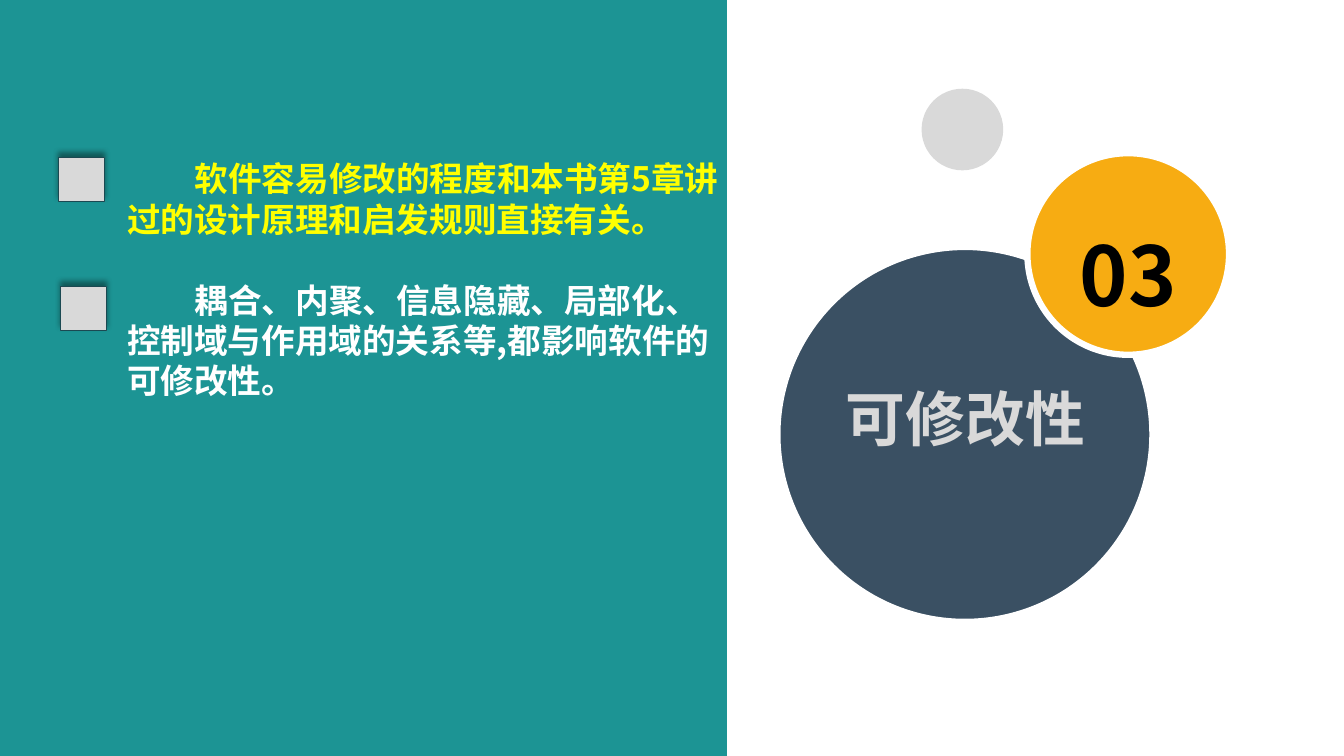
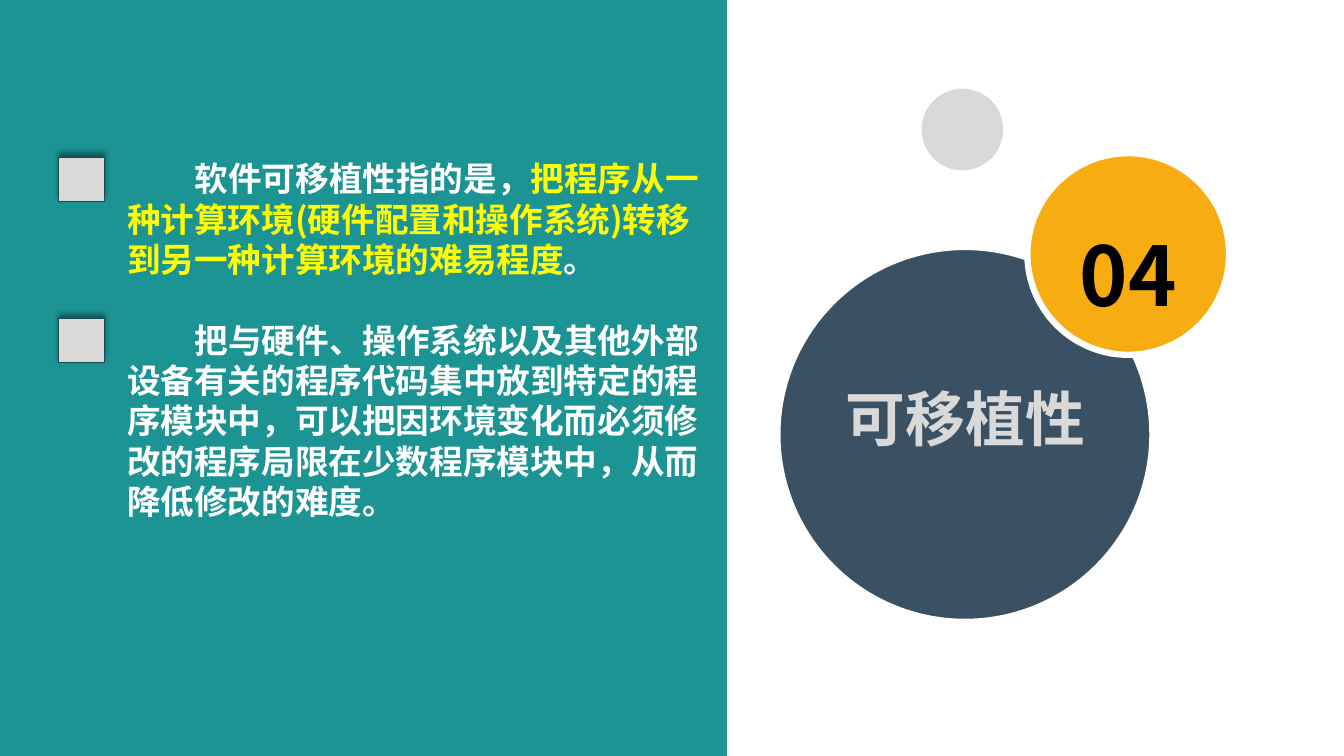
from dataclasses import dataclass
from typing import NamedTuple

from lxml.etree import SubElement
from pptx import Presentation
from pptx.dml.color import RGBColor
from pptx.enum.shapes import MSO_SHAPE
from pptx.enum.text import MSO_ANCHOR, MSO_AUTO_SIZE, PP_ALIGN
from pptx.oxml.ns import qn
from pptx.util import Inches, Pt


@dataclass(frozen=True)
class Theme:
    font: str = "Noto Sans CJK SC"
    teal: str = "1C9494"
    navy: str = "3A5063"
    amber: str = "F7AC12"
    grey: str = "D9D9D9"
    marker_edge: str = "1B4952"
    white: str = "FFFFFF"
    yellow: str = "FFFF00"
    black: str = "000000"
    body_size: float = 24
    title_size: float = 42.7
    number_size: float = 58.7
    ring_width: float = 4.5
    marker_line: float = 0.75


THEME = Theme()


class Box(NamedTuple):
    left: float
    top: float
    width: float
    height: float

    def lengths(self) -> list:
        return [Inches(value) for value in self]


class Span(NamedTuple):
    text: str
    color: str = THEME.white


class Topic(NamedTuple):
    number: str
    title: str
    points: list[list[Span]]
    markers: list[tuple[float, float]]
    body_height: float


class Circle(NamedTuple):
    box: Box
    fill: str
    ring: bool


CIRCLES = [
    Circle(Box(9.14, 0.88, 0.81, 0.81), THEME.grey, False),
    Circle(Box(7.71, 2.45, 3.72, 3.72), THEME.navy, True),
    Circle(Box(10.19, 1.52, 2, 2), THEME.amber, True),
]

TOPICS = [
    Topic("03", "可修改性", [
        [Span("软件容易修改的程度和本书第5章讲过的设计原理和启发规则直接有关。", THEME.yellow)],
        [Span("耦合、内聚、信息隐藏、局部化、控制域与作用域的关系等,都影响软件的可修改性。")],
    ], [(0.58, 1.56), (0.6, 2.84)], 2.52),
    Topic("04", "可移植性", [
        [Span("软件可移植性指的是，"),
         Span("把程序从一种计算环境(硬件配置和操作系统)转移到另一种计算环境的难易程度", THEME.yellow),
         Span("。")],
        [Span("把与硬件、操作系统以及其他外部设备有关的程序代码集中放到特定的程序模块中，"
              "可以把因环境变化而必须修改的程序局限在少数程序模块中，从而降低修改的难度。")],
    ], [(0.58, 1.56), (0.58, 3.16)], 3.74),
]


def add_filled(slide, kind: MSO_SHAPE, box: Box, fill: str,
               edge: str | None = None, edge_width: float = 0):
    shape = slide.shapes.add_shape(kind, *box.lengths())
    shape.shadow.inherit = False
    shape.fill.solid()
    shape.fill.fore_color.rgb = RGBColor.from_string(fill)
    if edge:
        shape.line.color.rgb = RGBColor.from_string(edge)
        shape.line.width = Pt(edge_width)
    else:
        shape.line.fill.background()
    return shape


def add_marker(slide, left: float, top: float) -> None:
    marker = add_filled(slide, MSO_SHAPE.RECTANGLE, Box(left, top, 0.46, 0.44),
                        THEME.grey, THEME.marker_edge, THEME.marker_line)
    # Soft shadow cast upwards
    effects = marker.element.spPr.find(qn("a:effectLst"))
    shadow = SubElement(effects, qn("a:outerShdw"), blurRad=str(Pt(4)),
                        dist=str(Pt(3)), dir=str(270 * 60000), rotWithShape="0")
    color = SubElement(shadow, qn("a:srgbClr"), val=THEME.black)
    SubElement(color, qn("a:alpha"), val="40000")


def add_text_frame(slide, box: Box, inset_x: float, inset_y: float):
    frame = slide.shapes.add_textbox(*box.lengths()).text_frame
    frame.word_wrap = True
    frame.auto_size = MSO_AUTO_SIZE.SHAPE_TO_FIT_TEXT
    frame.margin_left = frame.margin_right = Inches(inset_x)
    frame.margin_top = frame.margin_bottom = Inches(inset_y)
    return frame


def style_run(run, size: float, color: str) -> None:
    run.font.name = THEME.font
    run.font.size = Pt(size)
    run.font.bold = True
    run.font.color.rgb = RGBColor.from_string(color)
    SubElement(run.font._element, qn("a:ea"), typeface=THEME.font)


def add_label(slide, box: Box, text: str, size: float, color: str, inset: float = 0):
    frame = add_text_frame(slide, box, inset, inset)
    frame.text = text
    label = frame.paragraphs[0]
    label.alignment = PP_ALIGN.CENTER
    style_run(label.runs[0], size, color)
    return frame


def add_points(slide, topic: Topic) -> None:
    frame = add_text_frame(slide, Box(1.19, 1.52, 6.01, topic.body_height), 0.07, 0.05)
    for index, spans in enumerate(topic.points):
        paragraph = frame.add_paragraph() if index else frame.paragraphs[0]
        paragraph._p.get_or_add_pPr().set("indent", str(Inches(0.67)))
        if index:
            paragraph.space_before = Pt(29)
        for span in spans:
            run = paragraph.add_run()
            run.text = span.text
            style_run(run, THEME.body_size, span.color)


def build_topic(deck, topic: Topic) -> None:
    slide = deck.slides.add_slide(deck.slide_layouts[6])
    # Teal panel and circles
    add_filled(slide, MSO_SHAPE.RECTANGLE, Box(0, 0, 7.21, 7.5), THEME.teal)
    for circle in CIRCLES:
        add_filled(slide, MSO_SHAPE.OVAL, circle.box, circle.fill,
                   THEME.white if circle.ring else None, THEME.ring_width)
    # Section number
    number = add_label(slide, Box(10.66, 1.9, 1.06, 1.23), topic.number,
                       THEME.number_size, THEME.black)
    number.vertical_anchor = MSO_ANCHOR.MIDDLE
    number.paragraphs[0].line_spacing = 1.4
    # Points with their markers
    add_points(slide, topic)
    for left, top in topic.markers:
        add_marker(slide, left, top)
    # Section title
    add_label(slide, Box(7.68, 3.72, 3.79, 0.85), topic.title,
              THEME.title_size, THEME.grey, 0.07)


def main() -> None:
    deck = Presentation()
    deck.slide_width, deck.slide_height = Inches(13.33), Inches(7.5)
    for topic in TOPICS:
        build_topic(deck, topic)
    deck.save("out.pptx")


if __name__ == "__main__":
    main()
